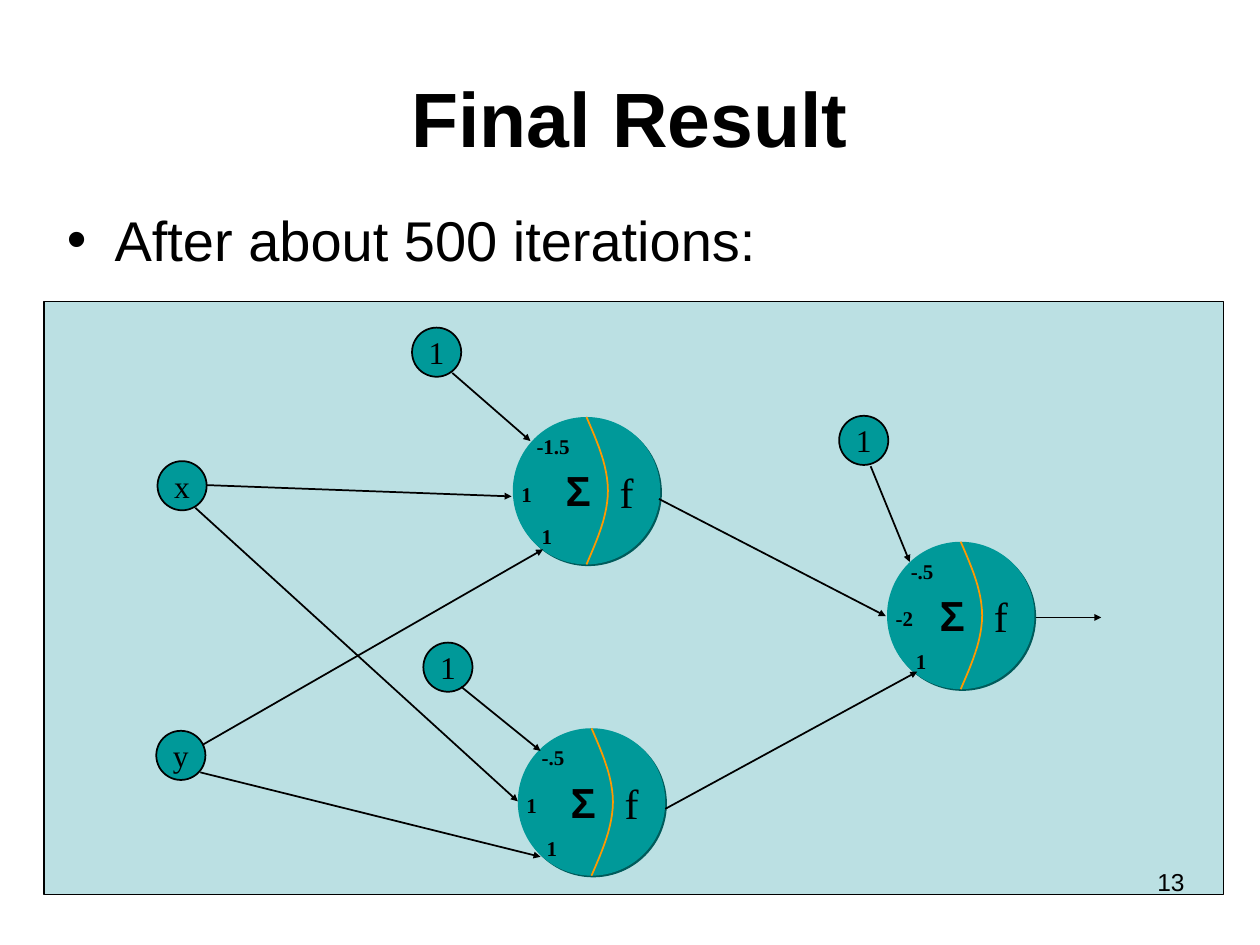
from lxml import etree
from pptx import Presentation
from pptx import util as u
from pptx.dml.color import RGBColor
from pptx.enum import shapes, text
from pptx.oxml import parse_xml
from pptx.oxml.ns import nsdecls, qn

SANS, SERIF = "Arial", "Times New Roman"
BLACK, TEAL, PALE, ORANGE, SHADE = "000000", "009999", "BBE0E3", "FF9900", "005B5B"
NODE, NEURON, BULGE = 0.39, 1.17, 0.17
LABEL_WIDTHS = {"1": 0.28, "-2": 0.34, "-.5": 0.38, "-1.5": 0.48}
WEIGHT_OFFSETS = [(0.09, 0.08), (-0.03, 0.46), (0.13, 0.8)]


def rgb(value):
    return RGBColor.from_string(value)


def divider_points(x, y):
    """Points down the curve that splits a neuron into its sum and function."""
    half = NEURON / 2
    controls = [(0, 0), (BULGE / 2, half / 3), (BULGE, half * 2 / 3), (BULGE, half)]
    upper = []
    for t in (i / 12 for i in range(13)):
        weights = ((1 - t) ** 3, 3 * t * (1 - t) ** 2, 3 * t * t * (1 - t), t ** 3)
        upper.append(tuple(sum(w * c[k] for w, c in zip(weights, controls)) for k in (0, 1)))
    lower = [(dx, NEURON - dy) for dx, dy in reversed(upper[:-1])]
    return [(u.Inches(x + dx), u.Inches(y + dy)) for dx, dy in upper + lower]


class Diagram:
    def __init__(self, slide):
        self.s = slide

    def style(self, p, size, font=SANS, bold=False, align=text.PP_ALIGN.LEFT):
        p.alignment = align
        for r in p.runs:
            r.font.size, r.font.name, r.font.bold = u.Pt(size), font, bold
            r.font.color.rgb = rgb(BLACK)

    def placeholder(self, index, box, words):
        sp = self.s.placeholders[index]
        sp.left, sp.top, sp.width, sp.height = map(u.Inches, box)
        tf = sp.text_frame
        tf.text = words
        tf.auto_size = text.MSO_AUTO_SIZE.NONE
        return tf.paragraphs[0]

    def title(self, box, words):
        self.style(self.placeholder(0, box, words), 44, bold=True,
                   align=text.PP_ALIGN.CENTER)

    def bullet(self, box, words):
        p = self.placeholder(1, box, words)
        pPr = p._p.get_or_add_pPr()
        pPr.set("marL", str(u.Inches(0.38)))
        pPr.set("indent", str(u.Inches(-0.38)))
        etree.SubElement(pPr, qn("a:buChar")).set("char", "•")
        p.space_before = u.Pt(0)
        self.style(p, 32)

    def shape(self, kind, box, fill, line=None):
        sp = self.s.shapes.add_shape(kind, *map(u.Inches, box))
        sp.shadow.inherit = False
        sp.fill.solid()
        sp.fill.fore_color.rgb = rgb(fill)
        if line:
            sp.line.color.rgb, sp.line.width = rgb(BLACK), u.Pt(line)
        else:
            sp.line.fill.background()
        return sp

    def label(self, box, words, size, font=SERIF, bold=False, wrap=False,
              align=text.PP_ALIGN.LEFT):
        tf = self.s.shapes.add_textbox(*map(u.Inches, box)).text_frame
        tf.text, tf.word_wrap = words, wrap
        if not wrap:
            tf.auto_size = text.MSO_AUTO_SIZE.SHAPE_TO_FIT_TEXT
        self.style(tf.paragraphs[0], size, font, bold, align)

    def node(self, x, y, words):
        sp = self.shape(shapes.MSO_SHAPE.OVAL, (x, y, NODE, NODE), TEAL, 1)
        tf = sp.text_frame
        tf.text, tf.word_wrap = words, False
        tf.vertical_anchor = text.MSO_ANCHOR.MIDDLE
        self.style(tf.paragraphs[0], 18, SERIF, align=text.PP_ALIGN.CENTER)

    def divider(self, x, y):
        start, *rest = divider_points(x, y)
        builder = self.s.shapes.build_freeform(*start)
        builder.add_line_segments(rest, close=False)
        sp = builder.convert_to_shape()
        sp.shadow.inherit = False
        sp.fill.background()
        sp.line.color.rgb, sp.line.width = rgb(ORANGE), u.Pt(1)

    def neuron(self, x, y, weights):
        sp = self.shape(shapes.MSO_SHAPE.OVAL, (x, y, NEURON, NEURON), TEAL)
        sp._element.spPr.find(qn("a:effectLst")).append(parse_xml(
            f'<a:outerShdw {nsdecls("a")} dist="{u.Pt(1.4)}" dir="2700000" algn="ctr" '
            f'rotWithShape="0"><a:srgbClr val="{SHADE}"/></a:outerShdw>'))
        self.divider(x + NEURON / 2, y)
        self.label((x + 0.75, y + 0.34, 0.31, 0.5), "f", 24)
        self.label((x + 0.32, y + 0.33, 0.39, 0.5), "Σ", 24, SANS, bold=True)
        for weight, (dx, dy) in zip(weights, WEIGHT_OFFSETS):
            self.label((x + dx, y + dy, LABEL_WIDTHS[weight], 0.3), weight, 12, bold=True)

    def arrow(self, *ends):
        cx = self.s.shapes.add_connector(shapes.MSO_CONNECTOR.STRAIGHT, *map(u.Inches, ends))
        cx.line.color.rgb, cx.line.width = rgb(BLACK), u.Pt(1)
        etree.SubElement(cx.line._get_or_add_ln(), qn("a:tailEnd"),
                         type="triangle", w="sm", len="sm")
        etree.SubElement(cx._element.spPr, qn("a:effectLst"))


def main():
    prs = Presentation()
    prs.slide_width, prs.slide_height = u.Inches(10), u.Inches(7.5)
    d = Diagram(prs.slides.add_slide(prs.slide_layouts[1]))

    d.title((0.5, 0.3, 9, 1.25), "Final Result")
    d.bullet((0.43, 1.58, 9, 4.95), "After about 500 iterations:")
    d.shape(shapes.MSO_SHAPE.RECTANGLE, (0.35, 2.39, 9.36, 4.71), PALE, 0.75)

    for x, y, words in [(1.25, 3.66, "x"), (1.24, 5.8, "y"),
                        (3.27, 2.6, "1"), (3.36, 5.1, "1"), (6.66, 3.3, "1")]:
        d.node(x, y, words)

    for x, y, weights in [(4.07, 3.31, ("-1.5", "1", "1")),
                          (4.11, 5.78, ("-.5", "1", "1")),
                          (7.04, 4.3, ("-.5", "-2", "1"))]:
        d.neuron(x, y, weights)

    for ends in [(3.66, 5.45, 4.29, 5.96), (3.59, 2.96, 4.21, 3.5),
                 (1.64, 3.85, 4.06, 3.94), (1.55, 4.03, 4.11, 6.36),
                 (1.61, 5.91, 4.31, 4.36), (1.59, 6.13, 4.29, 6.8),
                 (6.91, 3.7, 7.22, 4.46), (5.23, 3.96, 7.03, 4.89),
                 (5.28, 6.42, 7.28, 5.33), (8.22, 4.9, 8.74, 4.9)]:
        d.arrow(*ends)

    d.label((7.17, 6.83, 2.33, 0.52), "13", 14, SANS, wrap=True, align=text.PP_ALIGN.RIGHT)
    prs.save("out.pptx")


if __name__ == "__main__":
    main()
